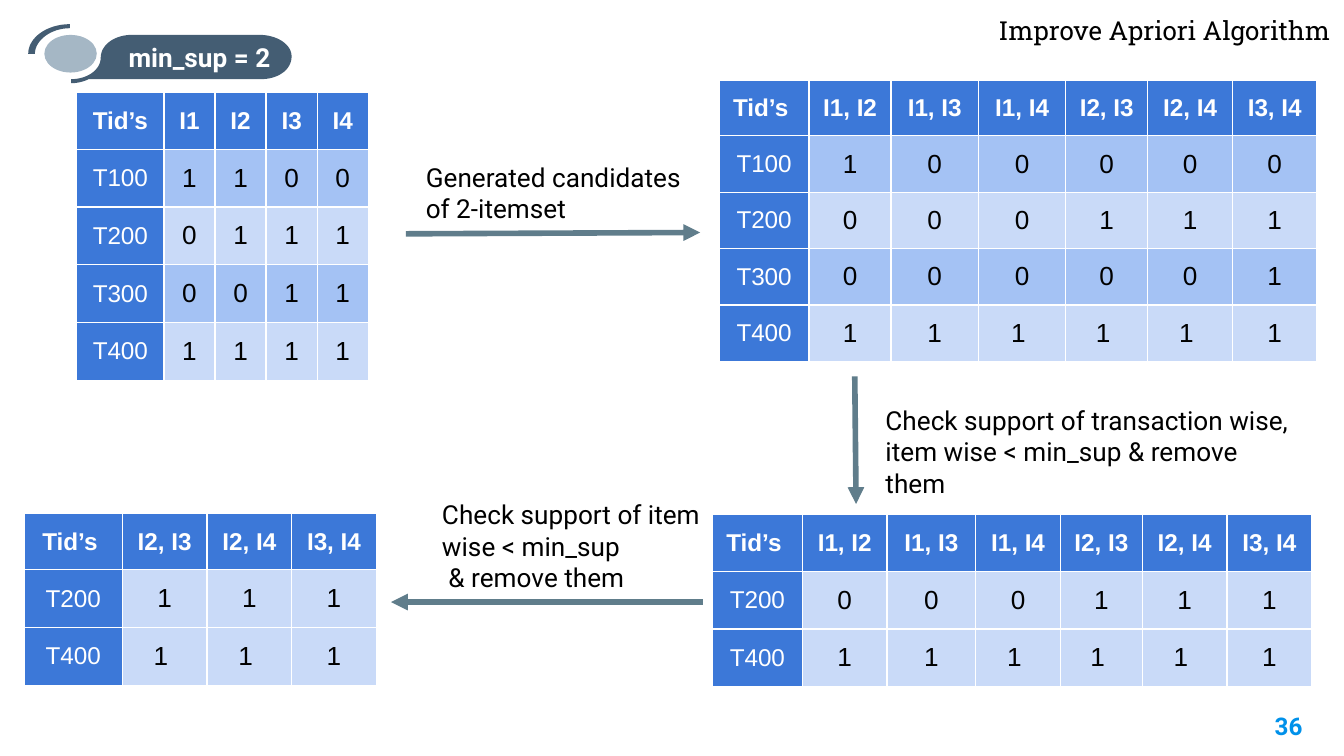
import pptx
import pptx.util
import pptx.dml.color
import pptx.enum.shapes
import pptx.enum.text
import pptx.oxml
import pptx.oxml.ns

ALIGN = pptx.enum.text.PP_ALIGN
ANCHOR = pptx.enum.text.MSO_ANCHOR
INCH = pptx.util.Inches

# Content: tables as (left, top, column widths, header and body height, rows)
PAIRS = ["Tid’s ", "I1, I2", "I1, I3", "I1, I4", "I2, I3", "I2, I4", "I3, I4"]
PAIRS_T200 = ["T200", "0", "0", "0", "1", "1", "1"]
PAIRS_T400 = ["T400", "1", "1", "1 ", "1 ", "1 ", "1"]
TABLES = [
    (0.57, 0.69, [0.65] + [0.38] * 4, (0.42, 0.43), [
        ["Tid’s ", "I1", "I2", "I3", "I4"],
        ["T100", "1", "1", "0", "0"],
        ["T200", "0", "1", "1", "1"],
        ["T300", "0", "0", "1", "1"],
        ["T400", "1", "1", "1", "1"],
    ]),
    (5.35, 0.6, [0.67, 0.61, 0.65, 0.65, 0.61, 0.63, 0.63], (0.41, 0.42), [
        PAIRS,
        ["T100", "1", "0", "0", "0", "0", "0"],
        PAIRS_T200,
        ["T300", "0", "0", "0", "0", "0", "1"],
        PAIRS_T400,
    ]),
    (5.3, 3.83, [0.67, 0.63, 0.66, 0.63, 0.61, 0.63, 0.63], (0.42, 0.43),
     [PAIRS, PAIRS_T200, PAIRS_T400]),
    (0.18, 3.82, [0.73] + [0.63] * 3, (0.42, 0.43), [
        ["Tid’s ", "I2, I3", "I2, I4", "I3, I4"],
        ["T200", "1", "1", "1"],
        ["T400", "1 ", "1 ", "1"],
    ]),
]
BLUE, WHITE, BLACK = "3C78D8", "FFFFFF", "000000"
ROW_FILLS = {"T100": "A4C2F4", "T200": "C9DAF8", "T300": "A4C2F4", "T400": "C9DAF8"}

# Arrows as (start x, start y, end x, end y)
ARROWS = [(3.02, 1.74, 5.21, 1.73), (6.36, 2.8, 6.37, 3.75), (5.23, 4.48, 2.91, 4.48)]

# Step labels as (box, paragraphs)
LABELS = [
    ((3.07, 1.1, 2.1, 0.67), ["Generated candidates of 2-itemset"]),
    ((6.49, 2.91, 3.3, 0.67),
     ["Check support of transaction wise, item wise < min_sup & remove them"]),
    ((3.19, 3.61, 2.35, 0.91), ["Check support of item wise < min_sup", " & remove them"]),
]

# Badge outlines: first point, then lines (2 numbers) and cubic curves (6 numbers)
BADGE_DARK, BADGE_LIGHT = "445D73", "A5B7C5"
BADGE_OUTLINES = [
    [(0.52, 0.18), (0.35, 0.18, 0.21, 0.28, 0.21, 0.4), (0.26, 0.4),
     (0.26, 0.3, 0.38, 0.21, 0.52, 0.21)],
    [(0.98, 0.26), (0.86, 0.26, 0.75, 0.33, 0.75, 0.43),
     (0.75, 0.52, 0.65, 0.59, 0.53, 0.59), (0.53, 0.62),
     (0.57, 0.62, 0.62, 0.61, 0.66, 0.59), (1.94, 0.59),
     (2.07, 0.59, 2.17, 0.52, 2.17, 0.42), (2.17, 0.33, 2.06, 0.26, 1.93, 0.26)],
]
CURVE_STEPS = 16


def color(hex_text):
    return pptx.dml.color.RGBColor.from_string(hex_text)


def write(frame, paragraphs, size, font, hex_text, bold=False, align=ALIGN.LEFT):
    for index, text in enumerate(paragraphs):
        paragraph = frame.paragraphs[0] if index == 0 else frame.add_paragraph()
        paragraph.alignment = align
        run = paragraph.add_run()
        run.text = text
        run.font.size = pptx.util.Pt(size)
        run.font.name = font
        run.font.bold = bold
        run.font.color.rgb = color(hex_text)


def set_margins(target):
    for side in ("left", "top", "right", "bottom"):
        setattr(target, "margin_" + side, INCH(0.1))


def fill_frame(shape, *text_options, **style):
    frame = shape.text_frame
    frame.word_wrap = True
    frame.auto_size = pptx.enum.text.MSO_AUTO_SIZE.NONE
    frame.vertical_anchor = ANCHOR.TOP
    set_margins(frame)
    write(frame, *text_options, **style)


def add_label(slide, box, *text_options, **style):
    fill_frame(slide.shapes.add_textbox(*map(INCH, box)), *text_options, **style)


def add_borders(cell):
    properties = cell._tc.get_or_add_tcPr()
    for edge in ("lnL", "lnR", "lnT", "lnB"):
        properties.append(pptx.oxml.parse_xml(
            f'<a:{edge} {pptx.oxml.ns.nsdecls("a")} w="9525"><a:solidFill>'
            f'<a:srgbClr val="{WHITE}"/></a:solidFill></a:{edge}>'))


def add_item_table(slide, left, top, widths, row_heights, rows):
    header_height, body_height = row_heights
    heights = [header_height] + [body_height] * (len(rows) - 1)
    box = (left, top, sum(widths), sum(heights))
    table = slide.shapes.add_table(len(rows), len(widths), *map(INCH, box)).table
    for column, width in zip(table.columns, widths):
        column.width = INCH(width)
    for row_index, (row, height) in enumerate(zip(rows, heights)):
        table.rows[row_index].height = INCH(height)
        for column_index, text in enumerate(row):
            cell = table.cell(row_index, column_index)
            is_heading = row_index == 0 or column_index == 0
            add_borders(cell)
            cell.fill.solid()
            cell.fill.fore_color.rgb = color(BLUE if is_heading else ROW_FILLS[row[0]])
            cell.vertical_anchor = ANCHOR.MIDDLE
            set_margins(cell)
            write(cell.text_frame, [text], 13 if is_heading else 14, "Arial",
                  WHITE if is_heading else BLACK, bold=row_index == 0, align=ALIGN.CENTER)


def add_arrow(slide, *ends):
    arrow = slide.shapes.add_connector(
        pptx.enum.shapes.MSO_CONNECTOR.STRAIGHT, *map(INCH, ends))
    arrow.line.color.rgb = color("607D8B")
    arrow.line.width = pptx.util.Pt(3)
    namespace = pptx.oxml.ns.nsdecls("a")
    arrow.line._get_or_add_ln().append(
        pptx.oxml.parse_xml(f'<a:tailEnd {namespace} type="triangle"/>'))
    arrow._element.spPr.append(pptx.oxml.parse_xml(f"<a:effectLst {namespace}/>"))


def trace(outline):
    points = [outline[0]]
    for segment in outline[1:]:
        if len(segment) == 2:
            points.append(segment)
            continue
        start = points[-1]
        for step in range(1, CURVE_STEPS + 1):
            t = step / CURVE_STEPS
            points.append(tuple(
                (1 - t) ** 3 * start[axis] + 3 * (1 - t) ** 2 * t * segment[axis]
                + 3 * (1 - t) * t ** 2 * segment[axis + 2] + t ** 3 * segment[axis + 4]
                for axis in (0, 1)))
    return [(INCH(x), INCH(y)) for x, y in points]


def paint(shape, hex_text):
    shape.shadow.inherit = False
    shape.fill.solid()
    shape.fill.fore_color.rgb = color(hex_text)
    shape.line.fill.background()


def add_badge(slide):
    for outline in BADGE_OUTLINES:
        points = trace(outline)
        builder = slide.shapes.build_freeform(*points[0], scale=1.0)
        builder.add_line_segments(points[1:], close=True)
        paint(builder.convert_to_shape(), BADGE_DARK)
    oval = slide.shapes.add_shape(
        pptx.enum.shapes.MSO_SHAPE.OVAL, *map(INCH, (0.33, 0.26, 0.39, 0.28)))
    paint(oval, BADGE_LIGHT)
    add_label(slide, (0.81, 0.21, 1.35, 0.44), ["min_sup = 2"], 14, "Roboto", WHITE,
              bold=True, align=ALIGN.CENTER)


def main():
    # Widescreen slide, 16 to 9
    presentation = pptx.Presentation()
    presentation.slide_width = INCH(10)
    presentation.slide_height = INCH(10 * 9 / 16)
    slide = presentation.slides.add_slide(presentation.slide_layouts[5])

    # Title
    title = slide.shapes.title
    title.left, title.top, title.width, title.height = map(INCH, (7.28, 0.01, 2.72, 0.44))
    fill_frame(title, ["Improve Apriori Algorithm"], 14, "Roboto Slab", BLACK,
               align=ALIGN.RIGHT)

    # Tables, arrows and step labels
    for table in TABLES:
        add_item_table(slide, *table)
    for ends in ARROWS:
        add_arrow(slide, *ends)
    for box, paragraphs in LABELS:
        add_label(slide, box, paragraphs, 14, "Roboto", BLACK)

    # Page number and badge
    add_label(slide, (9.19, 5.19, 0.6, 0.43), ["36"], 13, "Roboto", "0091EA",
              bold=True, align=ALIGN.RIGHT)
    add_badge(slide)
    presentation.save("out.pptx")


if __name__ == "__main__":
    main()
